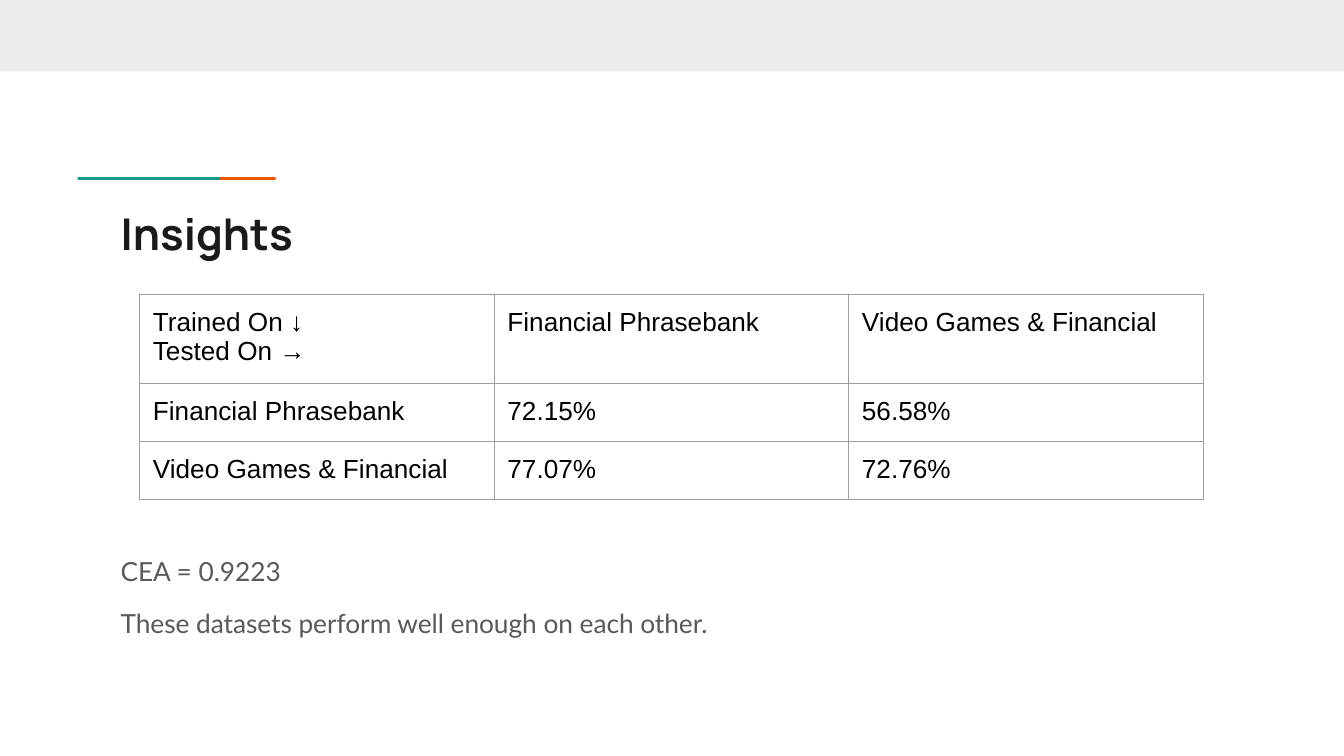
from dataclasses import dataclass

from lxml import etree
from pptx import Presentation
from pptx.dml.color import RGBColor
from pptx.enum.shapes import MSO_SHAPE
from pptx.enum.text import MSO_ANCHOR, PP_ALIGN
from pptx.oxml.ns import qn
from pptx.util import Cm, Pt

RECTANGLE = MSO_SHAPE.RECTANGLE
TOP = MSO_ANCHOR.TOP
LEFT = PP_ALIGN.LEFT

BAND_GREY = RGBColor(0xE9, 0xED, 0xEE)
ORANGE = RGBColor(0xEB, 0x56, 0x00)
TEAL = RGBColor(0x1A, 0x99, 0x88)
TITLE_INK = RGBColor(0x1A, 0x1A, 0x1A)
BODY_GREY = RGBColor(0x59, 0x59, 0x59)
BLACK = RGBColor(0x00, 0x00, 0x00)
GRID_GREY = RGBColor(0x9E, 0x9E, 0x9E)

INSET = Cm(0.25)
COLUMN_WIDTH = 6.7
ROW_HEIGHT = 1.07

ACCURACIES = [
    ["Trained On ↓\nTested On →", "Financial Phrasebank", "Video Games & Financial"],
    ["Financial Phrasebank", "72.15%", "56.58%"],
    ["Video Games & Financial", "77.07%", "72.76%"],
]


@dataclass(frozen=True)
class Box:
    left: float
    top: float
    width: float
    height: float

    def lengths(self) -> tuple:
        return Cm(self.left), Cm(self.top), Cm(self.width), Cm(self.height)


@dataclass(frozen=True)
class Bar:
    box: Box
    color: RGBColor


@dataclass(frozen=True)
class TextStyle:
    font: str
    size: float
    color: RGBColor
    bold: bool = False


BARS = [
    Bar(Box(0, 0, 25.4, 1.35), BAND_GREY),
    Bar(Box(2.52, 3.35, 2.69, 0.05), ORANGE),
    Bar(Box(1.47, 3.35, 2.69, 0.05), TEAL),
]
TITLE_STYLE = TextStyle("Manrope", 23.4, TITLE_INK, True)
BODY_STYLE = TextStyle("Lato", 14.1, BODY_GREY)
TABLE_STYLE = TextStyle("Arial", 14, BLACK)


def draw_bar(slide, bar: Bar) -> None:
    shape = slide.shapes.add_shape(RECTANGLE, *bar.box.lengths())
    shape.shadow.inherit = False
    shape.fill.solid()
    shape.fill.fore_color.rgb = bar.color
    shape.line.fill.background()


def write(frame, text: str, style: TextStyle) -> None:
    frame.text = text
    frame.word_wrap = True
    for paragraph in frame.paragraphs:
        paragraph.alignment = LEFT
        for run in paragraph.runs:
            run.font.name = style.font
            run.font.size = Pt(style.size)
            run.font.bold = style.bold
            run.font.color.rgb = style.color


def set_insets(holder) -> None:
    holder.margin_left = holder.margin_right = INSET
    holder.margin_top = holder.margin_bottom = INSET
    holder.vertical_anchor = TOP


def draw_text(slide, box: Box, text: str, style: TextStyle):
    frame = slide.shapes.add_textbox(*box.lengths()).text_frame
    set_insets(frame)
    write(frame, text, style)
    return frame


def outline_cell(cell) -> None:
    properties = cell._tc.get_or_add_tcPr()
    for position, side in enumerate(("lnL", "lnR", "lnT", "lnB")):
        border = etree.Element(qn(f"a:{side}"), w=str(Pt(0.75)))
        fill = etree.SubElement(border, qn("a:solidFill"))
        etree.SubElement(fill, qn("a:srgbClr"), val=str(GRID_GREY))
        properties.insert(position, border)


def draw_table(slide, left: float, top: float, rows: list[list[str]]) -> None:
    box = Box(left, top, COLUMN_WIDTH * len(rows[0]), ROW_HEIGHT * len(rows))
    table = slide.shapes.add_table(len(rows), len(rows[0]), *box.lengths()).table
    table.first_row = False
    table.horz_banding = False
    for row, texts in zip(table.rows, rows):
        row.height = Cm(ROW_HEIGHT)
        for cell, text in zip(row.cells, texts):
            set_insets(cell)
            write(cell.text_frame, text, TABLE_STYLE)
            cell.fill.background()
            outline_cell(cell)


def main() -> None:
    deck = Presentation()
    deck.slide_width = Cm(25.4)
    deck.slide_height = Cm(14.29)
    slide = deck.slides.add_slide(deck.slide_layouts[6])

    for bar in BARS:
        draw_bar(slide, bar)
    draw_text(slide, Box(2.03, 3.66, 21.36, 1.5), "Insights", TITLE_STYLE)
    findings = draw_text(
        slide,
        Box(2.03, 10.29, 21.36, 2.82),
        "CEA = 0.9223\nThese datasets perform well enough on each other.",
        BODY_STYLE,
    )
    for finding in findings.paragraphs:
        finding.line_spacing = 0.95
    conclusion = findings.paragraphs[-1]
    conclusion.space_before = conclusion.space_after = Pt(12)
    draw_table(slide, 2.64, 5.56, ACCURACIES)

    deck.save("out.pptx")


if __name__ == "__main__":
    main()
